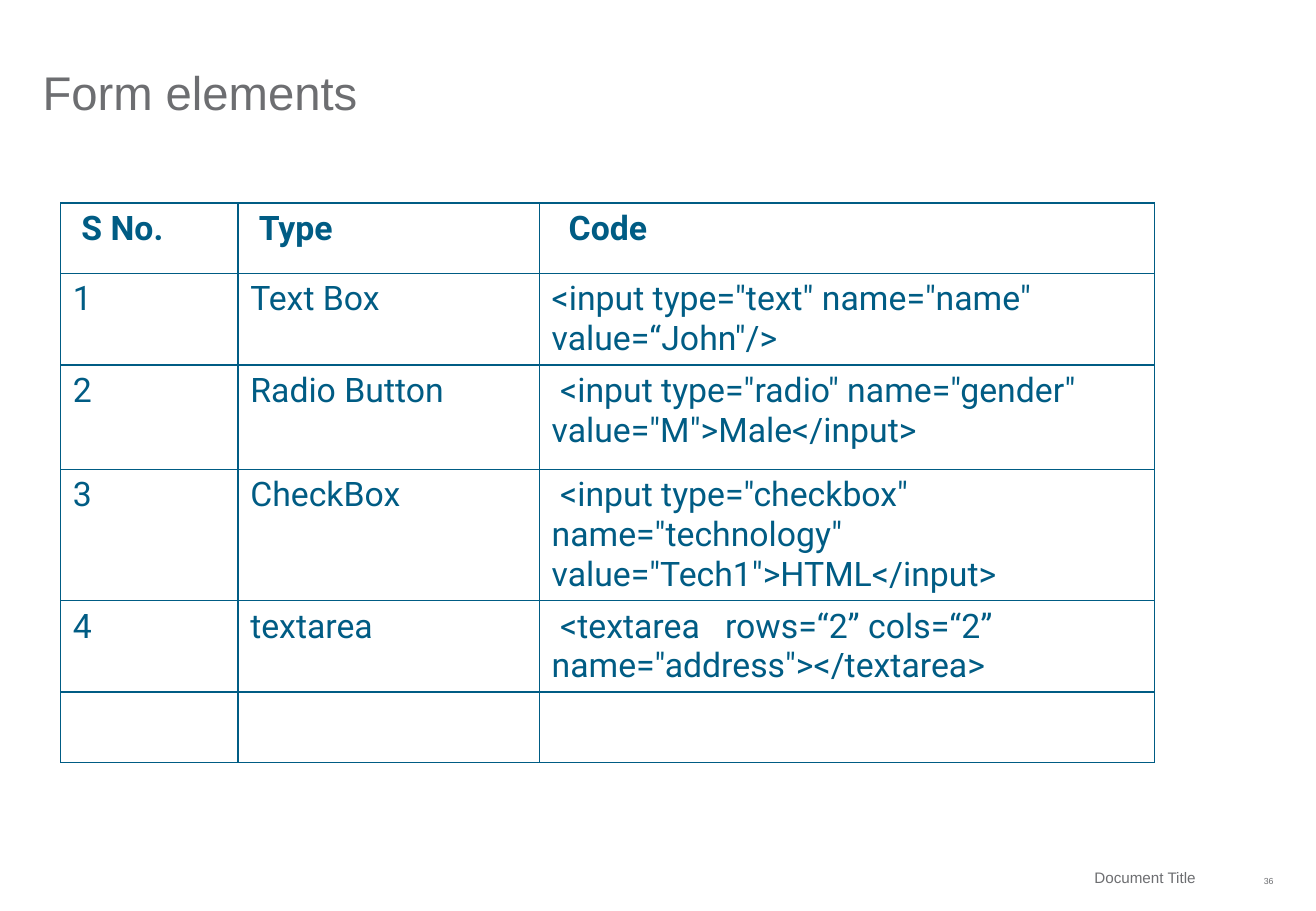
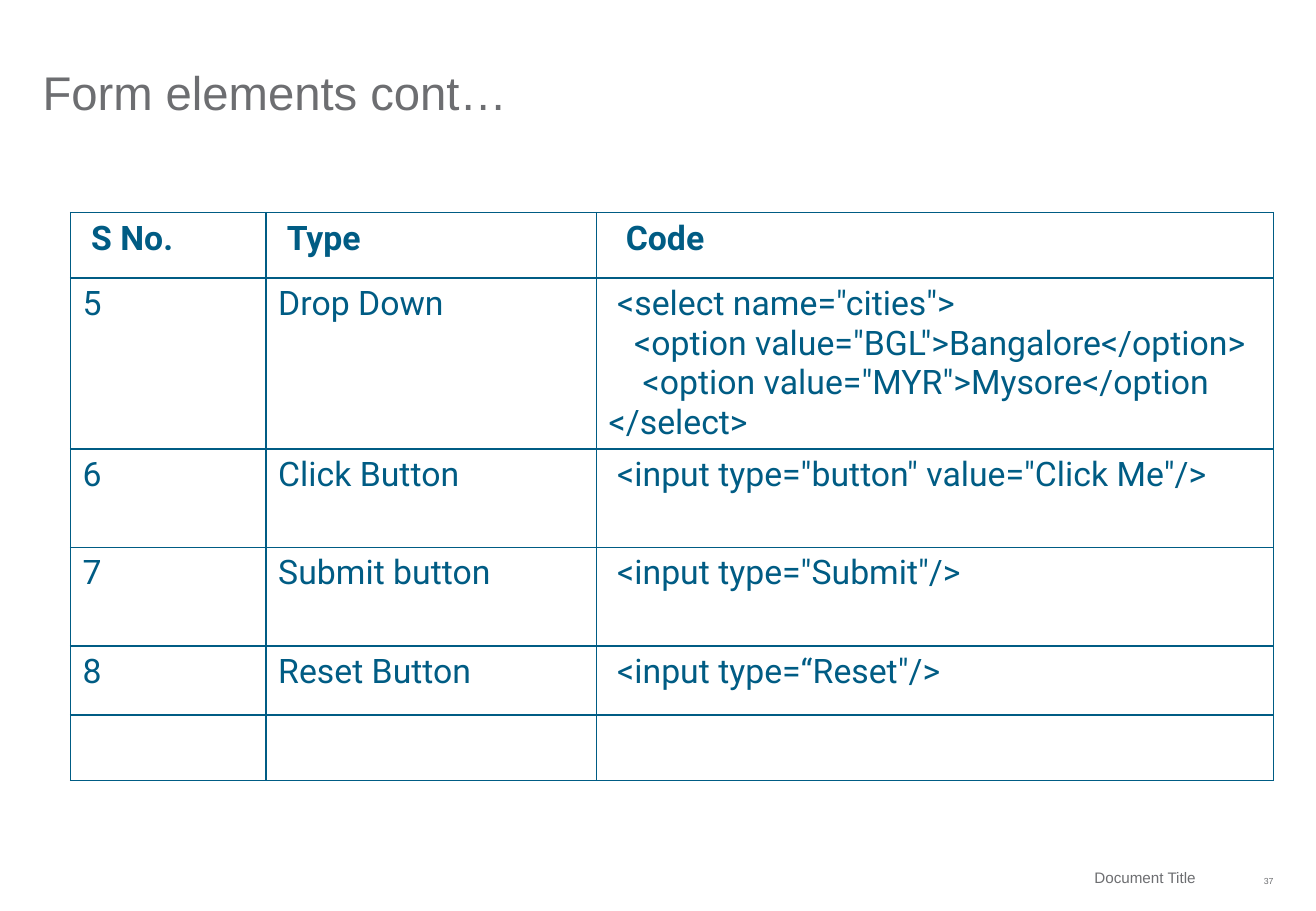
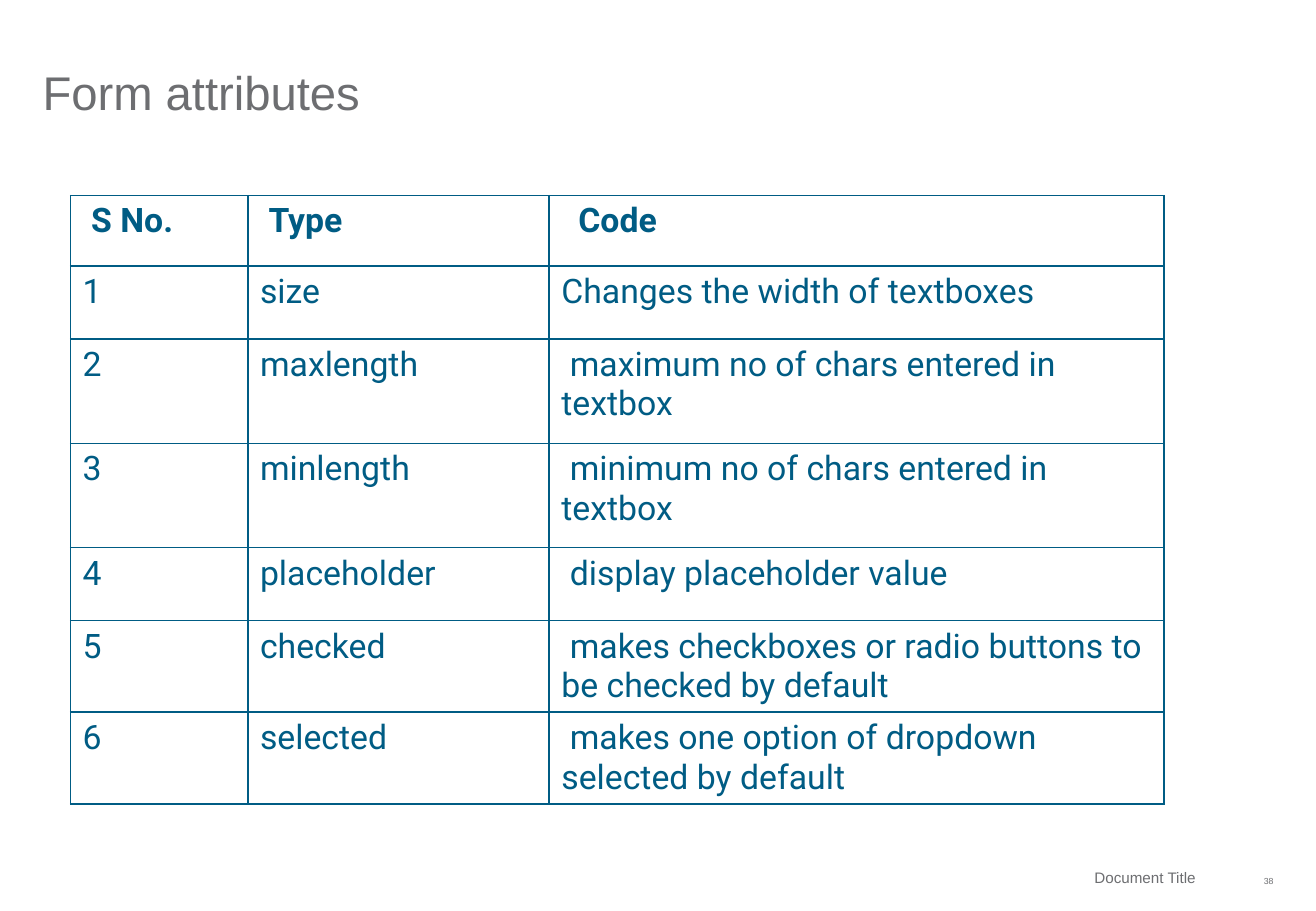
from lxml.etree import SubElement
from pptx import Presentation
from pptx.dml.color import RGBColor
from pptx.enum.text import MSO_ANCHOR as Anchor, MSO_AUTO_SIZE as AutoSize, PP_ALIGN as Align
from pptx.oxml.ns import qn
from pptx.util import Inches, Pt

COLORS = {"grey": "6D6E71", "blue": "005C84", "white": "FFFFFF"}
HEADER = [" S No.", " Type", "  Code"]
BLANK_ROW = ["", "", ""]
SPACE_WIDTH = 0.07
BORDER_SIDES = ("a:lnL", "a:lnR", "a:lnT", "a:lnB")
NARROW_COLUMNS = [1.46, 2.48, 5.06]
WIDE_COLUMNS = [1.61, 2.72, 5.57]
FIRST_NUMBER = 36

PAGES = [
    {
        "title": "Form elements",
        "corner": (0.5, 1.67),
        "columns": NARROW_COLUMNS,
        "heights": [0.58, 0.6, 0.86, 0.86, 0.6, 0.58],
        "rows": [
            HEADER,
            ["1", "Text Box", '<input type="text" name="name" value=“John"/>'],
            ["2", "Radio Button", ' <input type="radio" name="gender" value="M">Male</input>'],
            ["3", "CheckBox", ' <input type="checkbox" name="technology" value="Tech1">HTML</input>'],
            ["4", "textarea", ' <textarea   rows=“2” cols=“2” name="address"></textarea>'],
            BLANK_ROW,
        ],
    },
    {
        "title": "Form elements cont…",
        "corner": (0.58, 1.75),
        "columns": WIDE_COLUMNS,
        "heights": [0.54, 1.29, 0.81, 0.81, 0.57, 0.54],
        "rows": [
            HEADER,
            ["5", "Drop Down",
             ' <select name="cities">\n'
             '   <option value="BGL">Bangalore</option>\n'
             '    <option value="MYR">Mysore</option\n'
             '</select>'],
            ["6", "Click Button", ' <input type="button" value="Click Me"/>'],
            ["7", "Submit button", ' <input type="Submit"/>'],
            ["8", "Reset Button", ' <input type=“Reset"/>'],
            BLANK_ROW,
        ],
    },
    {
        "title": "Form attributes",
        "corner": (0.58, 1.61),
        "columns": NARROW_COLUMNS,
        "heights": [0.58, 0.6, 0.86, 0.86, 0.6, 0.58, 0.58],
        "rows": [
            HEADER,
            ["1", "size", "Changes the width of textboxes"],
            ["2", "maxlength", " maximum no of chars entered in textbox"],
            ["3", "minlength", " minimum no of chars entered in textbox"],
            ["4", "placeholder", " display placeholder value"],
            ["5", "checked", " makes checkboxes or radio buttons to be checked by default"],
            ["6", "selected", " makes one option of dropdown selected by default"],
        ],
    },
]


def set_font(font, name, size, color, bold=False):
    """Apply typeface, size, colour and weight."""
    font.name, font.size, font.bold = name, Pt(size), bold
    font.color.rgb = RGBColor.from_string(COLORS[color])


def prepare_frame(frame, anchor, right=0):
    """Wrap a text frame without margins, except on the right if given."""
    frame.word_wrap = True
    frame.auto_size = AutoSize.NONE
    frame.vertical_anchor = anchor
    frame.margin_left = frame.margin_top = frame.margin_bottom = 0
    frame.margin_right = Inches(right)


def add_title(page, text):
    """Place and style the title placeholder."""
    title = page.shapes.title
    title.left, title.top = Inches(0.35), Inches(0.22)
    title.width, title.height = Inches(10.13), Inches(0.77)
    prepare_frame(title.text_frame, Anchor.BOTTOM)
    para = title.text_frame.paragraphs[0]
    para.text = text
    para.alignment = Align.LEFT
    para.line_spacing = 0.9
    set_font(para.font, "Arial", 28, "grey")


def add_footer_text(page, text, place, right=0):
    """Add a right-aligned footer text and return its paragraph."""
    box = page.shapes.add_textbox(*map(Inches, place))
    prepare_frame(box.text_frame, Anchor.MIDDLE, right)
    para = box.text_frame.paragraphs[0]
    para.text = text
    para.alignment = Align.RIGHT
    set_font(para.font, "Arial", 9, "grey")
    return para


def add_footer(page, number):
    """Add the lowered page number and the document title."""
    para = add_footer_text(page, str(number), (10.09, 7.05, 0.39, 0.33))
    para.runs[0]._r.get_or_add_rPr().set("baseline", "-25000")
    add_footer_text(page, "Document Title", (6.19, 7.08, 3.8, 0.28), 0.15)


def add_borders(cell):
    """Draw a one-point line on each side of a cell."""
    properties = cell._tc.get_or_add_tcPr()
    for position, side in enumerate(BORDER_SIDES):
        line = SubElement(properties, qn(side), w=str(Pt(1)))
        properties.insert(position, line)
        fill = SubElement(line, qn("a:solidFill"))
        SubElement(fill, qn("a:srgbClr"), val=COLORS["blue"])


def fill_cell(cell, text, bold):
    """Write cell lines, turning leading spaces into first-line indents."""
    cell.fill.solid()
    cell.fill.fore_color.rgb = RGBColor.from_string(COLORS["white"])
    add_borders(cell)
    cell.text = text
    for para, line in zip(cell.text_frame.paragraphs, text.split("\n")):
        para.text = line.lstrip()
        set_font(para.font, "Roboto", 20, "blue", bold)
        spaces = len(line) - len(para.text)
        if spaces:
            para._p.get_or_add_pPr().set("indent", str(Inches(spaces * SPACE_WIDTH)))


def add_grid(page, corner, columns, heights, rows):
    """Add the bordered table with a bold header row."""
    size = (sum(columns), sum(heights))
    frame = page.shapes.add_table(len(rows), len(columns), *map(Inches, corner + size))
    table = frame.table
    table.first_row = table.horz_banding = False
    for column, width in zip(table.columns, columns):
        column.width = Inches(width)
    for index, (row, height, texts) in enumerate(zip(table.rows, heights, rows)):
        row.height = Inches(height)
        for cell, text in zip(row.cells, texts):
            fill_cell(cell, text, bold=index == 0)


def main():
    """Build and save the deck."""
    deck = Presentation()
    deck.slide_width, deck.slide_height = Inches(10.83), Inches(7.5)
    for number, content in enumerate(PAGES, FIRST_NUMBER):
        page = deck.slides.add_slide(deck.slide_layouts[5])
        add_footer(page, number)
        add_title(page, content["title"])
        add_grid(page, content["corner"], content["columns"], content["heights"], content["rows"])
    deck.save("out.pptx")


if __name__ == "__main__":
    main()
